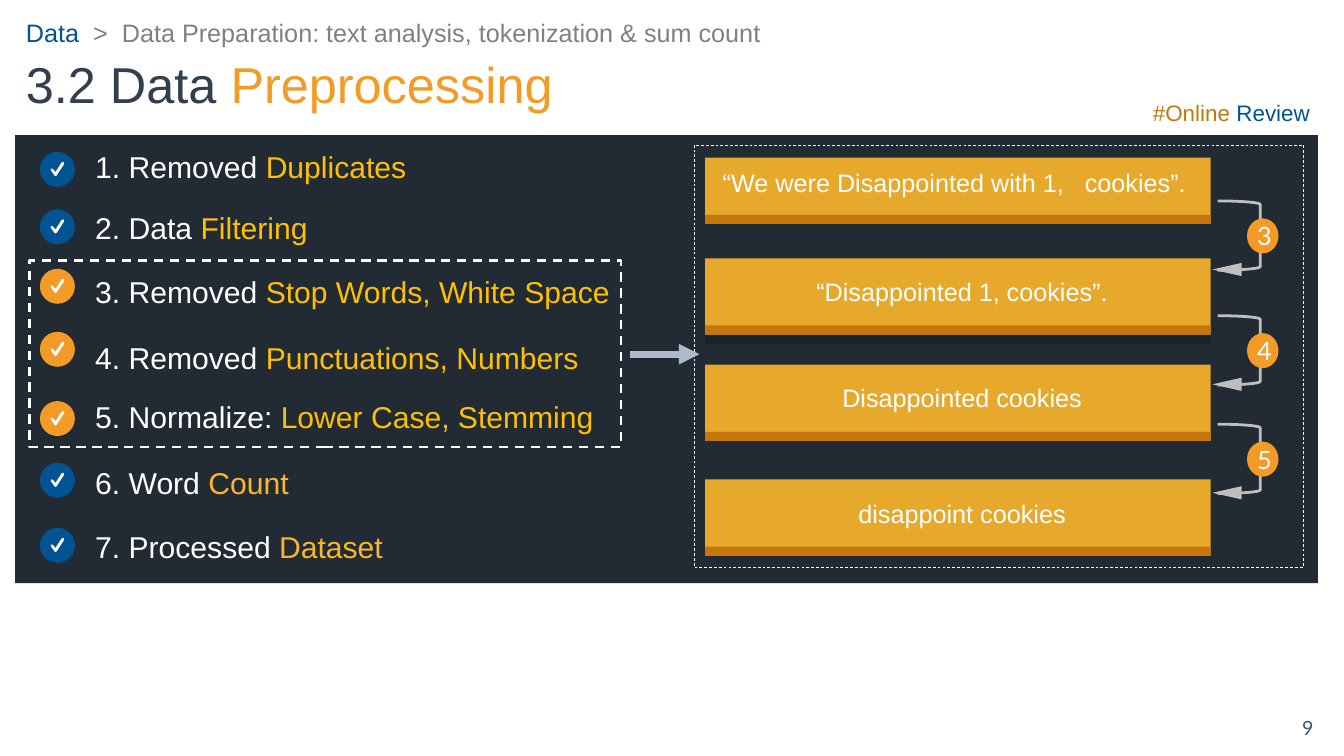
from lxml.etree import SubElement
from pptx import Presentation
from pptx.dml.color import RGBColor
from pptx.enum.dml import MSO_LINE
from pptx.enum.shapes import MSO_CONNECTOR, MSO_SHAPE
from pptx.enum.text import MSO_ANCHOR, PP_ALIGN
from pptx.oxml.ns import qn
from pptx.util import Pt

THEME = {
    "navy": "222A34", "shade": "19232E", "blue": "005493", "orange": "F29B26",
    "amber": "FBB62B", "gold": "FFC000", "rust": "C6770C", "white": "FFFFFF",
    "gray": "808080", "silver": "BFBFBF", "steel": "ADBACA", "slate": "333F4F",
    "page": "445469", "font": "Arial", "digit": "Lato",
    "title": 72, "step": 43, "body": 36, "tag": 32, "foot": 28,
}

CRUMB = [("Data", "blue"),
         ("  >  Data Preparation: text analysis, tokenization & sum count", "gray")]
TITLE = [("3.2 Data", "slate"), (" Preprocessing", "orange")]
TAG = [("#Online ", "rust"), ("Review", "blue")]

# label, key words, key colour, badge colour, text middle, badge middle
STEPS = [
    ("1. Removed ", "Duplicates", "gold", "blue", 238, 242),
    ("2. Data ", "Filtering", "gold", "blue", 325, 324),
    ("3. Removed ", "Stop Words, White Space", "gold", "orange", 417, 409),
    ("4. Removed ", "Punctuations, Numbers", "gold", "orange", 510, 499),
    ("5. Normalize: ", "Lower Case, Stemming", "gold", "orange", 595, 598),
    ("6. Word ", "Count", "amber", "blue", 689, 686),
    ("7. Processed ", "Dataset", "amber", "blue", 781, 779),
]

# text, card top, card height, text top, text shift
CARDS = [
    ("“We were Disappointed with 1,   cookies”. ", 225, 95, 235, 0),
    ("“Disappointed 1, cookies”.", 369, 109, 391, 6),
    ("Disappointed cookies", 521, 109, 543, 6),
    ("disappoint cookies", 685, 109, 708, 6),
]
HOOKS = [("3", 287), ("4", 451), ("5", 606)]

TICK = [(22, 34.6), (20.9, 33.8), (15.8, 26.6), (15.8, 23.8), (18.7, 24.5),
        (22.3, 28.8), (31, 15.1), (33.8, 14.4), (34.6, 17.3), (23.8, 33.8)]
BADGE = 50
CARD_X, CARD_W, STRIP = 1007, 722, 13

deck = Presentation()
deck.slide_width, deck.slide_height = Pt(1919.52), Pt(1080)
slide = deck.slides.add_slide(deck.slide_layouts[6])
shapes = slide.shapes


def paint(name):
    return RGBColor.from_string(THEME[name])


def style(shape, fill=None, line=None, width=1, dash=False, alpha=None):
    shape.shadow.inherit = False
    if fill:
        shape.fill.solid()
        shape.fill.fore_color.rgb = paint(fill)
        if alpha:
            color = shape.fill._xPr.find(qn("a:solidFill"))[0]
            SubElement(color, qn("a:alpha"), val=str(alpha * 1000))
    else:
        shape.fill.background()
    if line:
        shape.line.color.rgb = paint(line)
        shape.line.width = Pt(width)
        if dash:
            shape.line.dash_style = MSO_LINE.DASH
    else:
        shape.line.fill.background()
    return shape


def draw(kind, x, y, w, h, **look):
    return style(shapes.add_shape(kind, Pt(x), Pt(y), Pt(w), Pt(h)), **look)


def write(shape, runs, size="body", font="font", align=PP_ALIGN.LEFT,
          anchor=MSO_ANCHOR.TOP, left=7.2, right=7.2, wrap=True):
    """Fill a shape with one paragraph of (words, colour) runs."""
    frame = shape.text_frame
    frame.word_wrap = wrap
    frame.vertical_anchor = anchor
    frame.margin_left, frame.margin_right = Pt(left), Pt(right)
    para = frame.paragraphs[0]
    para.alignment = align
    for words, color in runs:
        run = para.add_run()
        run.text = words
        run.font.size = Pt(THEME[size])
        run.font.name = THEME[font]
        run.font.color.rgb = paint(color)


def label(x, y, w, h, runs, **form):
    write(shapes.add_textbox(Pt(x), Pt(y), Pt(w), Pt(h)), runs, **form)


def badge(x, mid, color):
    """Draw a disc with a tick in it."""
    top = mid - BADGE / 2
    draw(MSO_SHAPE.OVAL, x, top, BADGE, BADGE, fill=color)
    spots = [(Pt(x + dx), Pt(top + dy)) for dx, dy in TICK]
    pen = shapes.build_freeform(*spots[0])
    pen.add_line_segments(spots[1:], close=True)
    style(pen.convert_to_shape(), fill="white")


def card(words, top, high, text_top, shift):
    draw(MSO_SHAPE.RECTANGLE, CARD_X, top, CARD_W, high, fill="amber", alpha=91)
    draw(MSO_SHAPE.RECTANGLE, CARD_X, top + high - STRIP, CARD_W, STRIP, fill="rust")
    label(CARD_X + shift, text_top, CARD_W, 51, [(words, "white")],
          align=PP_ALIGN.CENTER)


def hook(digit, top):
    """Draw the numbered bracket that leads from one card to the next."""
    x = 1739
    draw(MSO_SHAPE.RIGHT_BRACKET, x, top, 61, 99, line="silver", width=4)
    head = draw(MSO_SHAPE.ISOSCELES_TRIANGLE, x + 4, top + 77, 19, 42, fill="silver")
    head.rotation = 270
    disc = draw(MSO_SHAPE.OVAL, x + 42, top + 25, 45, 50, fill="orange")
    write(disc, [(digit, "white")], font="digit", align=PP_ALIGN.CENTER,
          anchor=MSO_ANCHOR.MIDDLE, left=5, right=0, wrap=False)


def arrow(x, y, end):
    link = shapes.add_connector(MSO_CONNECTOR.STRAIGHT, Pt(x), Pt(y), Pt(end), Pt(y))
    link.line.color.rgb = paint("steel")
    link.line.width = Pt(9.75)
    SubElement(link.line._get_or_add_ln(), qn("a:tailEnd"), type="triangle")
    SubElement(link._element.spPr, qn("a:effectLst"))


label(30, 21, 1084, 94, CRUMB)
label(30, 72, 1860, 94, TITLE, size="title")
tag = draw(MSO_SHAPE.RECTANGLE, 1218, 138, 660, 46, fill="white")
write(tag, TAG, size="tag", align=PP_ALIGN.RIGHT, anchor=MSO_ANCHOR.MIDDLE)

draw(MSO_SHAPE.RECTANGLE, 21.6, 193, 1860.5, 640, fill="navy")
for lead, key, hue, disc, mid, spot in STEPS:
    label(105, mid - 29.5, 830, 59, [(lead, "white"), (key, hue)], size="step",
          anchor=MSO_ANCHOR.MIDDLE, left=31)
    badge(57, spot, disc)

_, top, high, *_ = CARDS[1]
draw(MSO_SHAPE.RECTANGLE, CARD_X, top + high - STRIP, CARD_W, 2 * STRIP, fill="shade")
for row in CARDS:
    card(*row)

draw(MSO_SHAPE.RECTANGLE, 42, 372, 845, 267, line="white", width=3.25, dash=True)
draw(MSO_SHAPE.RECTANGLE, 991, 207, 871, 603, line="white", dash=True)
for row in HOOKS:
    hook(*row)
arrow(900, 506, 999)
label(1852.5, 1019.5, 60, 41, [("9", "page")], size="foot", font="digit")

deck.save("out.pptx")
